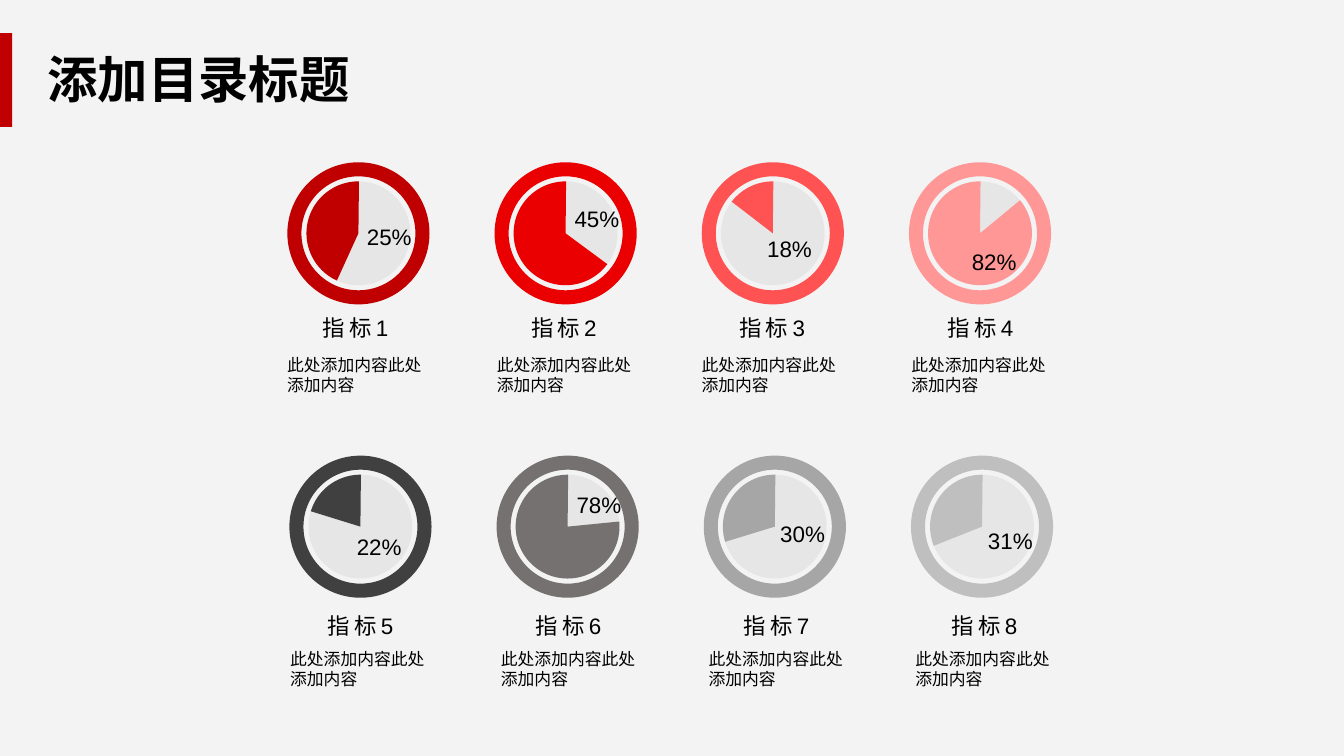
from lxml import etree
from pptx import Presentation
from pptx import util as u
from pptx.dml import color
from pptx.enum import shapes, text
from pptx.oxml import ns

HUES = {
    "back": "F3F3F3", "ink": "000000", "bar": "C00000",
    "deep": "C00000", "red": "EA0000", "coral": "FF5353", "pink": "FF9797",
    "coal": "404040", "stone": "767171", "gray": "A6A6A6", "mist": "BFBFBF",
}
KIND = shapes.MSO_SHAPE
STEP = 2.055
DISC = 1.03
RING = 1.41
END = 270.62
NOTE = "此处添加内容此处添加内容"

ROWS = [
    {"left": 3.04, "top": 1.8, "tag": (2.77, 3.1, 1.51, 0.29), "gap": 2.067,
     "note": 3.47, "dials": [
         ("deep", 114.45, "25%", 3.54, 2.16, 2.75),
         ("red", 36.46, "45%", 5.6, 1.99, 4.83),
         ("coral", 217.63, "18%", 7.51, 2.28, 6.86),
         ("pink", 320.44, "82%", 9.54, 2.41, 8.94)]},
    {"left": 3.06, "top": 4.71, "tag": (2.99, 6.03, 1.17, 0.35), "gap": 2.063,
     "note": 6.39, "dials": [
         ("coal", 197.23, "22%", 3.44, 5.24, 2.78),
         ("stone", 354.35, "78%", 5.62, 4.82, 4.87),
         ("gray", 162.95, "30%", 7.64, 5.11, 6.93),
         ("mist", 158.31, "31%", 9.7, 5.18, 8.98)]},
]


class Deck:
    def __init__(self, font="Arial"):
        self.font = font
        self.show = Presentation()
        self.show.slide_width = u.Inches(13.33)
        self.show.slide_height = u.Inches(7.5)
        self.page = self.show.slides.add_slide(self.show.slide_layouts[6])
        fill = self.page.background.fill
        fill.solid()
        fill.fore_color.rgb = self.hue("back")

    def hue(self, name):
        return color.RGBColor.from_string(HUES[name])

    def shape(self, kind, box, hue, adjust=(), alpha=None):
        item = self.page.shapes.add_shape(kind, *map(u.Inches, box))
        item.shadow.inherit = False
        item.line.fill.background()
        item.fill.solid()
        item.fill.fore_color.rgb = self.hue(hue)
        for index, value in enumerate(adjust):
            item.adjustments[index] = value
        if alpha is not None:
            tint = item.fill._xPr.find(".//" + ns.qn("a:srgbClr"))
            etree.SubElement(tint, ns.qn("a:alpha")).set("val", str(alpha * 1000))

    def text(self, box, words, size, bold=False, wrap=True, grow=True,
             center=False, space=0):
        item = self.page.shapes.add_textbox(*map(u.Inches, box))
        frame = item.text_frame
        frame.word_wrap = wrap
        if grow:
            frame.auto_size = text.MSO_AUTO_SIZE.SHAPE_TO_FIT_TEXT
        para = frame.paragraphs[0]
        if center:
            frame.vertical_anchor = text.MSO_ANCHOR.MIDDLE
            para.alignment = text.PP_ALIGN.CENTER
        run = para.add_run()
        run.text = words
        run.font.name = self.font
        run.font.size = u.Pt(size)
        run.font.bold = bold
        run.font.color.rgb = self.hue("ink")
        if space:
            run._r.get_or_add_rPr().set("spc", str(space * 100))

    def dial(self, left, top, hue, start):
        disc = (left, top, DISC, DISC)
        edge = (RING - DISC) / 2
        self.shape(KIND.OVAL, disc, "ink", alpha=5)
        self.shape(KIND.PIE, disc, hue, (start * 0.6, END * 0.6))
        self.shape(KIND.DONUT, (left - edge, top - edge, RING, RING), hue, (0.099,))


def main():
    deck = Deck()
    deck.shape(KIND.RECTANGLE, (0, 0.33, 0.12, 0.93), "bar")
    deck.text((0.37, 0.43, 3.23, 0.71), "添加目录标题", 36, bold=True, wrap=False)
    count = 1
    for row in ROWS:
        x, y, wide, high = row["tag"]
        for col, (hue, start, rate, rx, ry, nx) in enumerate(row["dials"]):
            deck.dial(row["left"] + col * STEP, row["top"], hue, start)
            deck.text((x + col * row["gap"], y, wide, high), f"指标{count}", 16,
                      grow=False, center=True, space=3)
            deck.text((nx, row["note"], 1.54, 0.5), NOTE, 12)
            deck.text((rx, ry, 0.65, 0.37), rate, 16, wrap=False)
            count += 1
    deck.show.save("out.pptx")


if __name__ == "__main__":
    main()
